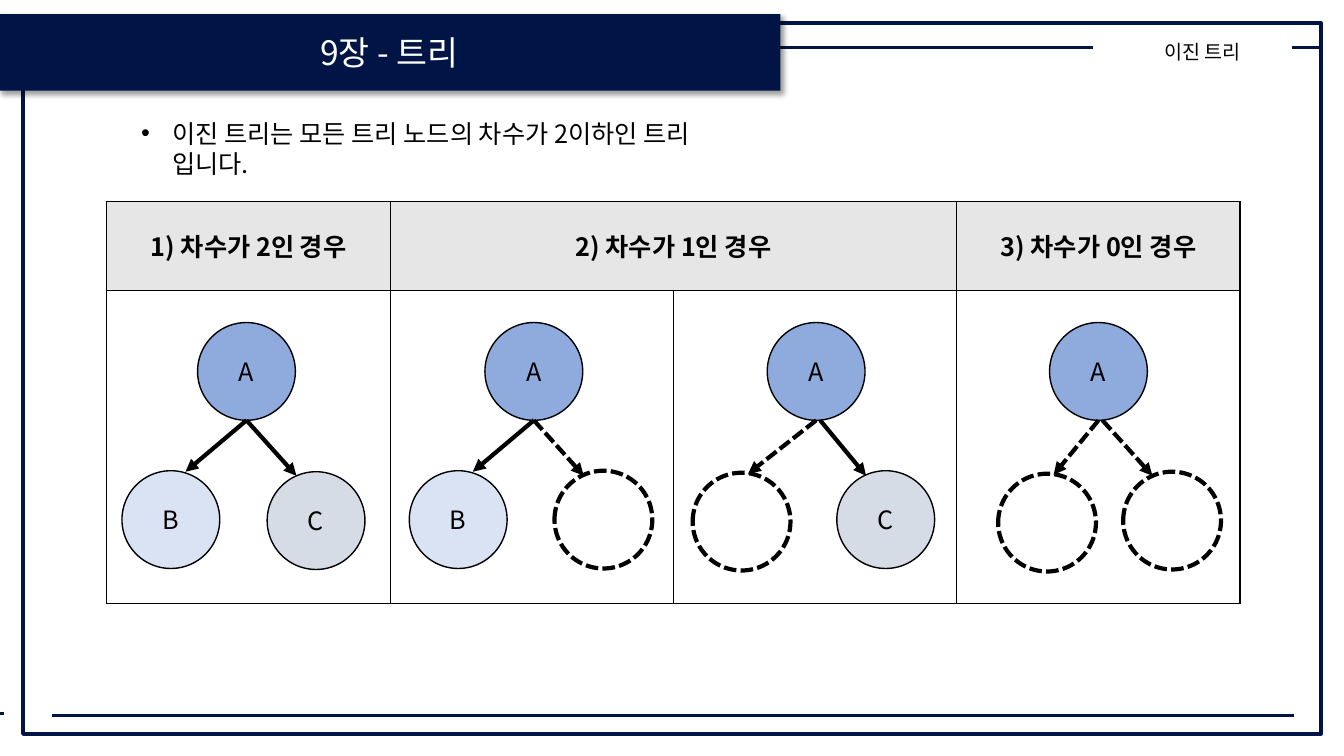
import pptx
import pptx.util
import pptx.dml.color
import pptx.enum.dml
import pptx.enum.shapes
import pptx.enum.text
import pptx.oxml
import pptx.oxml.ns
import lxml.etree

FONT = "Noto Sans CJK KR"
COLORS = {
    "navy": "001545", "ink": "000000", "paper": "FFFFFF", "header": "E7E6E6",
    "root": "8FAADC", "left": "DAE3F3", "right": "D6DCE5",
}
WIDTH, HEIGHT = pptx.util.Inches(13.33), pptx.util.Inches(7.5)
GRID_COLUMNS, GRID_ROWS = 1333, 750
NODE = 97
COLUMN = 281
HEADER_ROW, TREE_ROW = 88, 311
HEADINGS = {0: "1) 차수가 2인 경우", 1: "2) 차수가 1인 경우", 3: "3) 차수가 0인 경우"}
TREES = [
    {"root": 90, "fork": 0, "left": ("B", 15, 179), "right": ("C", 159, 180)},
    {"root": 94, "fork": 0, "left": ("B", 19, 179), "right": ("", 163, 179)},
    {"root": 93, "fork": 4, "left": ("", 19, 181), "right": ("C", 162, 179)},
    {"root": 92, "fork": 4, "left": ("", 41, 182), "right": ("", 165, 180)},
]


def across(columns):
    return round(WIDTH * columns / GRID_COLUMNS)


def down(rows):
    return round(HEIGHT * rows / GRID_ROWS)


def place(box):
    left, top, width, height = box
    return across(left), down(top), across(width), down(height)


def rgb(name):
    return pptx.dml.color.RGBColor.from_string(COLORS[name])


def add_xml(parent, tag, **attributes):
    return lxml.etree.SubElement(parent, pptx.oxml.ns.qn(tag), attributes)


def write(frame, text, size, color="ink", bold=False, centered=True):
    frame.text = text
    paragraph = frame.paragraphs[0]
    if centered:
        paragraph.alignment = pptx.enum.text.PP_ALIGN.CENTER
    font = paragraph.font
    font.name, font.size, font.bold = FONT, pptx.util.Pt(size), bold
    font.color.rgb = rgb(color)
    properties = paragraph._p.pPr.find(pptx.oxml.ns.qn("a:defRPr"))
    add_xml(properties, "a:ea", typeface=FONT)
    return paragraph


def outline(line, color, width, dashed=False):
    line.color.rgb = rgb(color)
    line.width = pptx.util.Pt(width)
    if dashed:
        line.dash_style = pptx.enum.dml.MSO_LINE.SQUARE_DOT


def add_line(slide, start, end, color, width, dashed=False, arrow=False):
    connector = slide.shapes.add_connector(
        pptx.enum.shapes.MSO_CONNECTOR.STRAIGHT,
        across(start[0]), down(start[1]), across(end[0]), down(end[1]))
    outline(connector.line, color, width, dashed)
    if arrow:
        add_xml(connector.line._get_or_add_ln(), "a:tailEnd", type="triangle")
    add_xml(connector._element.spPr, "a:effectLst")


def add_frame(slide, box):
    left, top, width, height = box
    border = slide.shapes.add_shape(pptx.enum.shapes.MSO_SHAPE.RECTANGLE, *place(box))
    border.shadow.inherit = False
    border.fill.background()
    outline(border.line, "navy", 3)
    right, upper, lower = left + width, top + 24, top + height - 18
    add_line(slide, (right - 226, upper), (0, upper), "navy", 2)
    add_line(slide, (right, upper), (right - 29, upper), "navy", 2)
    add_line(slide, (right - 27, lower), (left + 29, lower), "navy", 2)
    add_line(slide, (4, lower - 2), (0, lower - 2), "navy", 2)


def add_banner(slide, box):
    chapter = slide.shapes.title
    chapter.left, chapter.top, chapter.width, chapter.height = place(box)
    chapter.fill.solid()
    chapter.fill.fore_color.rgb = rgb("navy")
    chapter.text_frame.auto_size = pptx.enum.text.MSO_AUTO_SIZE.NONE
    chapter.text_frame.vertical_anchor = pptx.enum.text.MSO_ANCHOR.MIDDLE
    write(chapter.text_frame, "9장 - 트리", 24, "paper")
    effects = add_xml(chapter._element.spPr, "a:effectLst")
    shadow = add_xml(effects, "a:outerShdw", blurRad="50800", dist="38100",
                     dir="2700000", algn="tl", rotWithShape="0")
    shade = add_xml(shadow, "a:srgbClr", val=COLORS["ink"])
    add_xml(shade, "a:alpha", val="40000")
    slide.shapes.element.append(chapter.element)


def add_topic(slide, box):
    topic = slide.shapes.add_textbox(*place(box))
    topic.text_frame.word_wrap = True
    write(topic.text_frame, "이진 트리", 14, centered=False)


def add_definition(slide, box):
    definition = slide.placeholders[1]
    definition.left, definition.top, definition.width, definition.height = place(box)
    frame = definition.text_frame
    frame.word_wrap = True
    frame.auto_size = pptx.enum.text.MSO_AUTO_SIZE.NONE
    sentence = write(frame, "이진 트리는 모든 트리 노드의 차수가 2이하인 트리 입니다.", 18,
                     centered=False)
    sentence.space_before = pptx.util.Pt(0)
    sentence._p.pPr.set("marL", str(across(31)))
    sentence._p.pPr.set("indent", str(-across(31)))


def style_cell(cell, fill):
    properties = cell._tc.get_or_add_tcPr()
    for side in ("a:lnL", "a:lnR", "a:lnT", "a:lnB"):
        border = add_xml(properties, side, w=str(pptx.util.Pt(1)))
        add_xml(add_xml(border, "a:solidFill"), "a:srgbClr", val=COLORS["ink"])
    if fill:
        cell.fill.solid()
        cell.fill.fore_color.rgb = rgb(fill)
    else:
        cell.fill.background()


def add_cases(slide, box):
    cases = slide.shapes.add_table(2, len(TREES), *place(box)).table
    for column in cases.columns:
        column.width = across(COLUMN)
    for row, height, fill in zip(cases.rows, (HEADER_ROW, TREE_ROW), ("header", None)):
        row.height = down(height)
        for cell in row.cells:
            style_cell(cell, fill)
    cases.cell(0, 1).merge(cases.cell(0, 2))
    for index, heading in HEADINGS.items():
        cell = cases.cell(0, index)
        cell.vertical_anchor = pptx.enum.text.MSO_ANCHOR.MIDDLE
        write(cell.text_frame, heading, 18, bold=True)
    for index, tree in enumerate(TREES):
        add_tree(slide, (box[0] + index * COLUMN, box[1] + HEADER_ROW), tree)


def add_node(slide, left, top, label, fill):
    node = slide.shapes.add_shape(
        pptx.enum.shapes.MSO_SHAPE.OVAL, *place((left, top, NODE, NODE)))
    node.shadow.inherit = False
    if label:
        node.fill.solid()
        node.fill.fore_color.rgb = rgb(fill)
        outline(node.line, "ink", 1)
        node.text_frame.vertical_anchor = pptx.enum.text.MSO_ANCHOR.MIDDLE
        write(node.text_frame, label, 18)
    else:
        node.fill.background()
        outline(node.line, "ink", 3, dashed=True)


def add_tree(slide, corner, tree):
    left, top = corner
    root_top = top + 32
    add_node(slide, left + tree["root"], root_top, "A", "root")
    fork = left + tree["root"] + NODE / 2
    for side in ("left", "right"):
        label, x, y = tree[side]
        if side == "left":
            start, reach, drop = fork, 63 if label else 55, y + 1
        else:
            start, reach, drop = fork + tree["fork"], 29, 184
        add_line(slide, (start, root_top + NODE), (left + x + reach, top + drop),
                 "ink", 3, dashed=not label, arrow=True)
        add_node(slide, left + x, top + y, label, side)


def main():
    deck = pptx.Presentation()
    deck.slide_width, deck.slide_height = WIDTH, HEIGHT
    slide = deck.slides.add_slide(deck.slide_layouts[1])
    add_frame(slide, (23, 23, 1287, 705))
    add_banner(slide, (-2, 14, 776, 76))
    add_topic(slide, (1145, 35, 118, 34))
    add_definition(slide, (130, 112, 624, 70))
    add_cases(slide, (106, 200, COLUMN * len(TREES), HEADER_ROW + TREE_ROW))
    deck.save("out.pptx")


if __name__ == "__main__":
    main()
